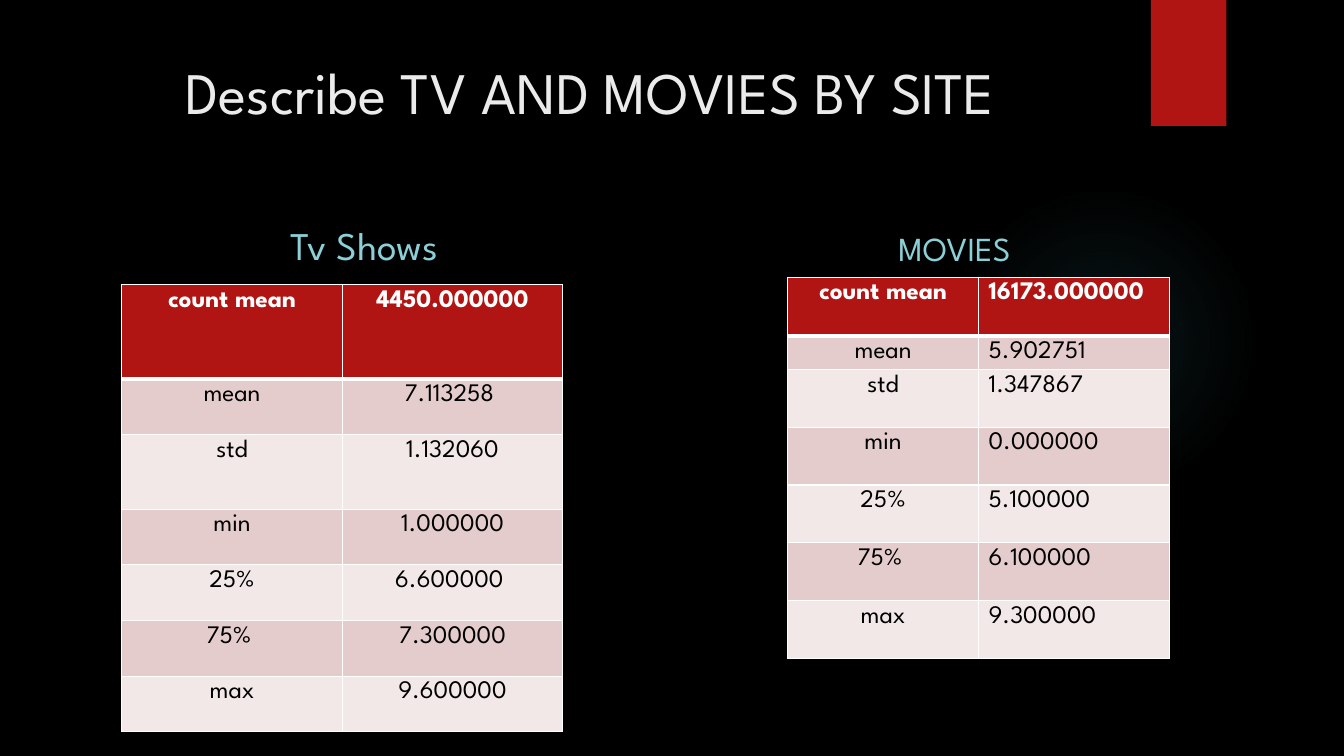
from dataclasses import dataclass

from lxml.etree import SubElement
from pptx import Presentation
from pptx.dml.color import RGBColor
from pptx.enum.shapes import MSO_SHAPE as Shape
from pptx.enum.text import MSO_ANCHOR as Anchor, MSO_AUTO_SIZE as AutoSize, PP_ALIGN as Align
from pptx.oxml.ns import qn
from pptx.util import Pt

EMU_PER_PX = 9525


def px(n: int) -> int:
    return n * EMU_PER_PX


@dataclass(frozen=True)
class Theme:
    font: str = "League Spartan"
    background: str = "000000"
    accent: str = "B01513"
    glow: str = "50B9C1"
    title: str = "EBEBEB"
    heading: str = "8AD0D6"
    header_text: str = "FFFFFF"
    cell_text: str = "000000"
    border: str = "FFFFFF"
    bands: tuple[str, str] = ("E4CCCC", "F2E8E7")
    title_size: int = 42
    shows_size: int = 28
    movies_size: int = 24
    cell_size: int = 18


@dataclass(frozen=True)
class Box:
    x: int
    y: int
    w: int
    h: int

    def emu(self) -> tuple[int, ...]:
        return tuple(px(n) for n in (self.x, self.y, self.w, self.h))


@dataclass(frozen=True)
class Heading:
    idx: int
    text: str
    box: Box
    size: int


@dataclass(frozen=True)
class StatTable:
    x: int
    y: int
    col_width: int
    row_heights: tuple[int, ...]
    values: tuple[str, ...]
    value_align: Align


THEME = Theme()
LABELS = ("count mean", "mean", "std", "min", "25%", "75% ", "max")
HEADINGS = (
    Heading(1, "Tv Shows", Box(116, 200, 462, 60), THEME.shows_size),
    Heading(3, "MOVIES", Box(763, 200, 292, 60), THEME.movies_size),
)
TABLES = (
    StatTable(750, 264, 182, (56, 32, 55, 55, 55, 55, 55),
              ("16173.000000", "5.902751", "1.347867", "0.000000",
               "5.100000", "6.100000", "9.300000"), Align.LEFT),
    StatTable(116, 271, 210, (90, 53, 71, 53, 53, 53, 53),
              ("4450.000000", "7.113258 ", "1.132060", "1.000000",
               "6.600000 ", "7.300000", "9.600000"), Align.CENTER),
)


def rgb(color: str) -> RGBColor:
    return RGBColor.from_string(color)


def write(tf, text: str, size: int, color: str, align: Align, bold: bool = False):
    p = tf.paragraphs[0]
    p.alignment = align
    r = p.add_run()
    r.text = text
    r.font.name, r.font.size, r.font.bold = THEME.font, Pt(size), bold
    r.font.color.rgb = rgb(color)
    return p


def fill_placeholder(sp, box: Box, text: str, size: int, color: str, anchor: Anchor):
    sp.left, sp.top, sp.width, sp.height = box.emu()
    tf = sp.text_frame
    tf.auto_size, tf.vertical_anchor, tf.word_wrap = AutoSize.NONE, anchor, True
    return write(tf, text, size, color, Align.CENTER)


def add_backdrop(slide, kind: Shape, box: Box):
    """Add a plain accent shape behind everything else."""
    sp = slide.shapes.add_shape(kind, *box.emu())
    sp.shadow.inherit = False
    sp.line.fill.background()
    sp.fill.solid()
    sp.fill.fore_color.rgb = rgb(THEME.accent)
    slide.shapes._spTree.insert(2, sp._element)
    return sp


def set_glow(sp) -> None:
    """Swap the solid fill for a radial fade."""
    sp_pr = sp._element.spPr
    grad = SubElement(sp_pr, qn("a:gradFill"))
    stops = SubElement(grad, qn("a:gsLst"))
    for pos, alpha in ((0, 7), (36, 6), (69, 0)):
        gs = SubElement(stops, qn("a:gs"), pos=str(pos * 1000))
        color = SubElement(gs, qn("a:srgbClr"), val=THEME.glow)
        SubElement(color, qn("a:alpha"), val=str(alpha * 1000))
    circle = SubElement(grad, qn("a:path"), {"path": "circle"})
    SubElement(circle, qn("a:fillToRect"), dict.fromkeys("ltrb", "50000"))
    sp_pr.replace(sp_pr.find(qn("a:solidFill")), grad)


def set_borders(cell, top: int, bottom: int) -> None:
    tc_pr = cell._tc.get_or_add_tcPr()
    for i, (side, width) in enumerate((("L", 1), ("R", 1), ("T", top), ("B", bottom))):
        ln = SubElement(tc_pr, qn(f"a:ln{side}"), w=str(Pt(width)))
        fill = SubElement(ln, qn("a:solidFill"))
        SubElement(fill, qn("a:srgbClr"), val=THEME.border)
        tc_pr.insert(i, ln)


def add_stat_table(slide, stats: StatTable) -> None:
    box = Box(stats.x, stats.y, 2 * stats.col_width, sum(stats.row_heights))
    table = slide.shapes.add_table(len(LABELS), 2, *box.emu()).table
    table.horz_banding = False
    for col in table.columns:
        col.width = px(stats.col_width)
    for i, (height, *texts) in enumerate(zip(stats.row_heights, LABELS, stats.values)):
        table.rows[i].height = px(height)
        header = i == 0
        fill = THEME.accent if header else THEME.bands[(i - 1) % 2]
        color = THEME.header_text if header else THEME.cell_text
        for cell, text, align in zip(table.rows[i].cells, texts,
                                     (Align.CENTER, stats.value_align)):
            cell.fill.solid()
            cell.fill.fore_color.rgb = rgb(fill)
            set_borders(cell, top=3 if i == 1 else 1, bottom=3 if header else 1)
            write(cell.text_frame, text, THEME.cell_size, color, align, header)


def main() -> None:
    prs = Presentation()
    prs.slide_width, prs.slide_height = px(1280), px(720)
    slide = prs.slides.add_slide(prs.slide_layouts.get_by_name("Comparison"))
    slide.background.fill.solid()
    slide.background.fill.fore_color.rgb = rgb(THEME.background)

    # Title and table headings
    fill_placeholder(slide.shapes.title, Box(68, 48, 988, 147),
                     "Describe TV AND MOVIES BY SITE", THEME.title_size,
                     THEME.title, Anchor.TOP)
    holders = {sp.placeholder_format.idx: sp for sp in slide.placeholders}
    for h in HEADINGS:
        p = fill_placeholder(holders[h.idx], h.box, h.text, h.size,
                             THEME.heading, Anchor.BOTTOM)
        p.space_before = Pt(10)

    # Unused content and footer placeholders
    for idx, sp in holders.items():
        if idx not in (0, 1, 3):
            sp._element.getparent().remove(sp._element)

    # Backdrop: red tab, then the glow behind it
    add_backdrop(slide, Shape.RECTANGLE, Box(1096, 0, 72, 120))
    set_glow(add_backdrop(slide, Shape.OVAL, Box(903, 176, 296, 296)))

    # Statistics tables
    for stats in TABLES:
        add_stat_table(slide, stats)

    prs.save("out.pptx")


if __name__ == "__main__":
    main()
